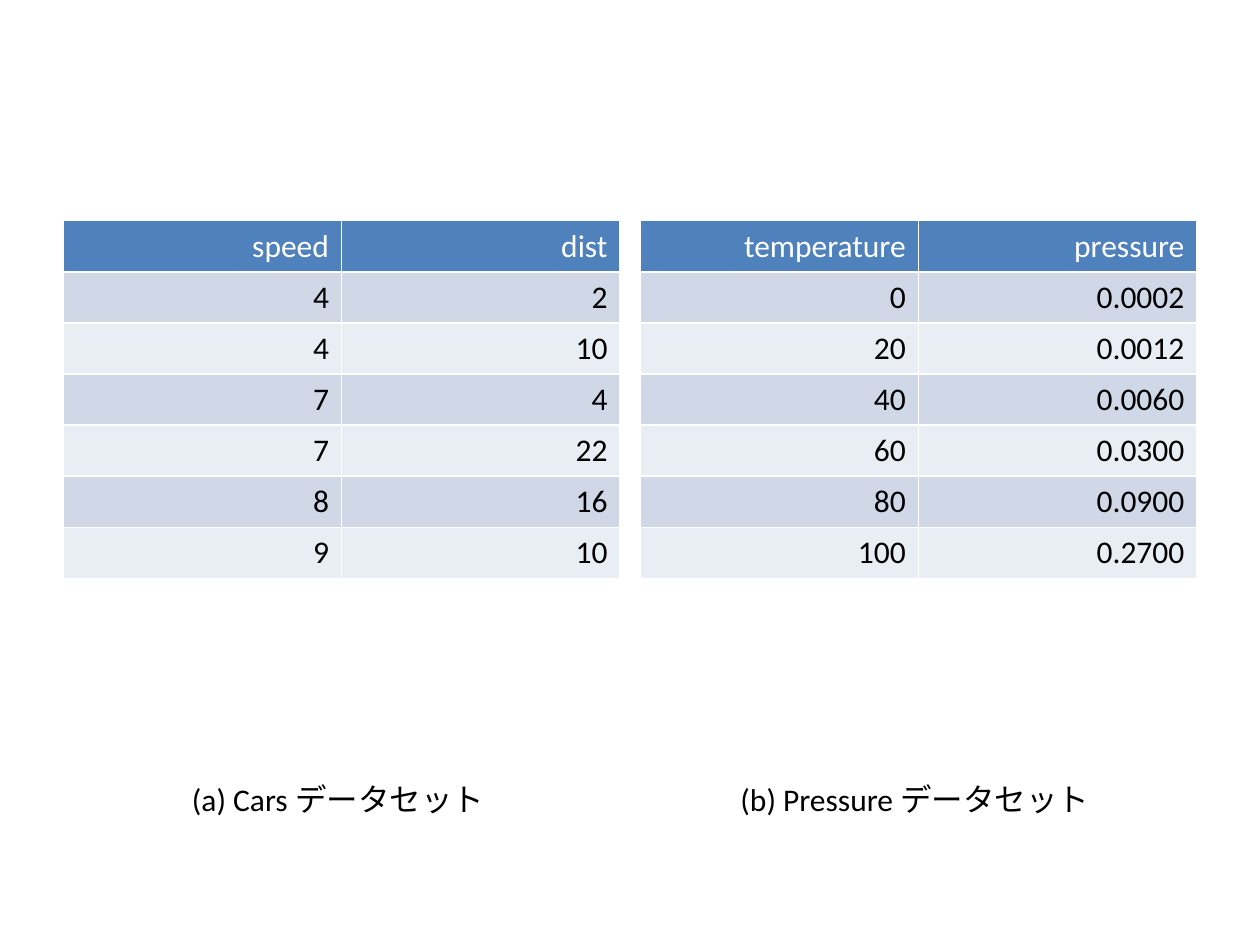
import pptx
import pptx.dml.color
import pptx.enum.text
import pptx.util

Cm, Pt = pptx.util.Cm, pptx.util.Pt
RGBColor = pptx.dml.color.RGBColor
ALIGN = pptx.enum.text.PP_ALIGN

BLUE = RGBColor(0x4F, 0x81, 0xBD)
DARK = RGBColor(0xD0, 0xD8, 0xE8)
LIGHT = RGBColor(0xE9, 0xED, 0xF4)
WHITE = RGBColor(0xFF, 0xFF, 0xFF)
BLACK = RGBColor(0, 0, 0)

LEFT, TOP, WIDTH, STEP = 1.27, 4.45, 11.23, 11.63
ROW, FOOT, DEPTH = 1.03, 15.6, 1.42

PANELS = [
    ("(a) Cars データセット ",
     [("speed", "dist"), ("4", "2"), ("4", "10"), ("7", "4"),
      ("7", "22"), ("8", "16"), ("9", "10")]),
    ("(b) Pressure データセット ",
     [("temperature", "pressure"), ("0", "0.0002"), ("20", "0.0012"),
      ("40", "0.0060"), ("60", "0.0300"), ("80", "0.0900"),
      ("100", "0.2700")]),
]


class Page:
    """Holds the text style and the slide being filled."""

    def __init__(self, slide):
        self.slide = slide
        self.style = {"name": "Calibri", "size": Pt(18), "bold": False}

    def text(self, frame, words, align, color):
        para = frame.paragraphs[0]
        para.alignment = align
        run = para.add_run()
        run.text = words
        for key, value in self.style.items():
            setattr(run.font, key, value)
        run.font.color.rgb = color

    def table(self, left, data):
        """Add a table; its default style draws the white borders."""
        grid = self.slide.shapes.add_table(
            len(data), len(data[0]), Cm(left), Cm(TOP),
            Cm(WIDTH), Cm(ROW * len(data))).table
        for r, line in enumerate(data):
            fill = (LIGHT, DARK)[r % 2] if r else BLUE
            for c, words in enumerate(line):
                cell = grid.cell(r, c)
                cell.fill.solid()
                cell.fill.fore_color.rgb = fill
                self.text(cell.text_frame, words, ALIGN.RIGHT,
                          BLACK if r else WHITE)

    def label(self, left, words):
        box = self.slide.shapes.add_textbox(
            Cm(left), Cm(FOOT), Cm(WIDTH), Cm(DEPTH))
        box.text_frame.word_wrap = True
        self.text(box.text_frame, words, ALIGN.CENTER, BLACK)


def main():
    deck = pptx.Presentation()
    deck.slide_width, deck.slide_height = Cm(25.4), Cm(19.05)
    page = Page(deck.slides.add_slide(deck.slide_layouts[6]))
    for i, (title, data) in enumerate(PANELS):
        left = LEFT + i * STEP
        page.table(left, data)
        page.label(left, title)
    deck.save("out.pptx")


if __name__ == "__main__":
    main()
